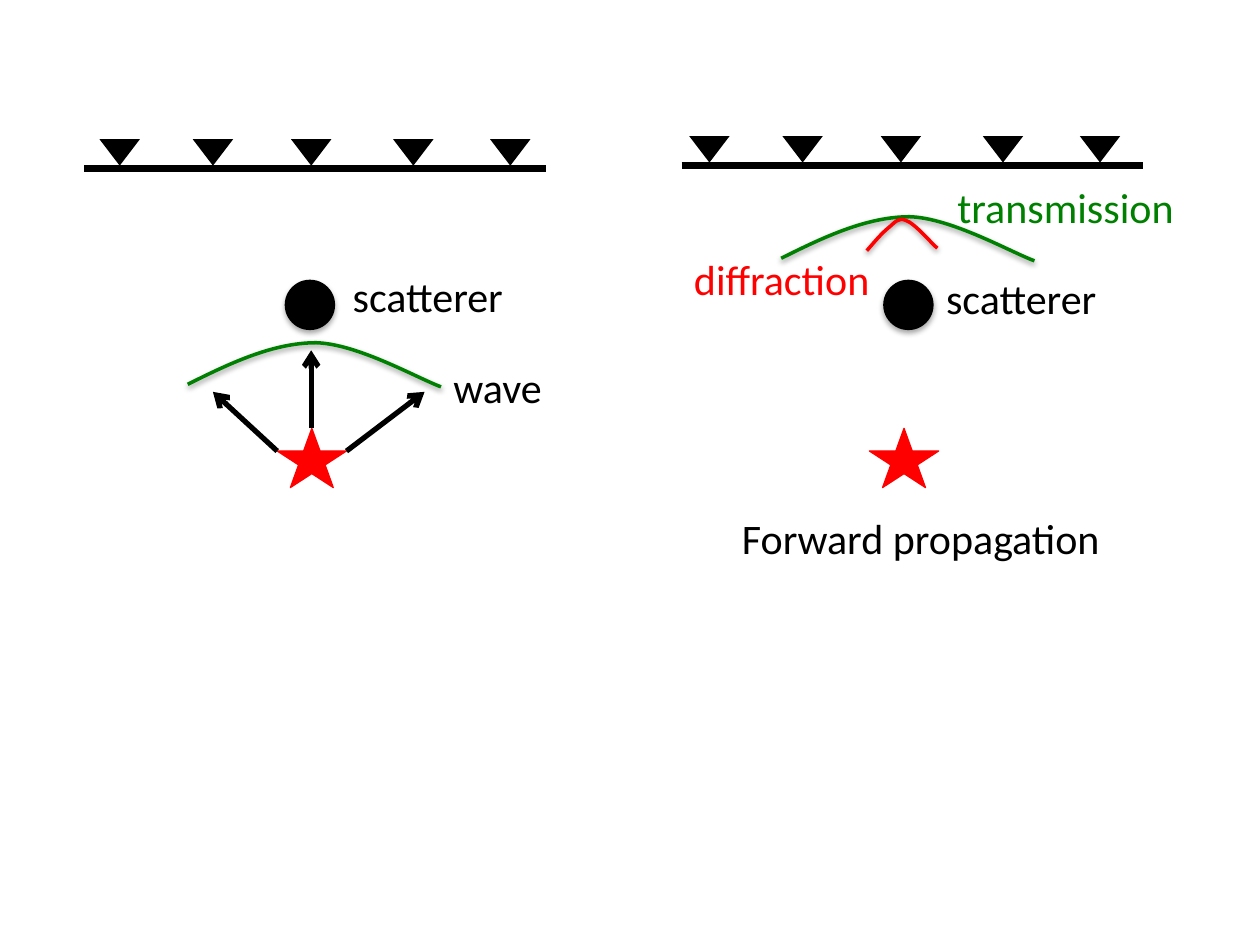
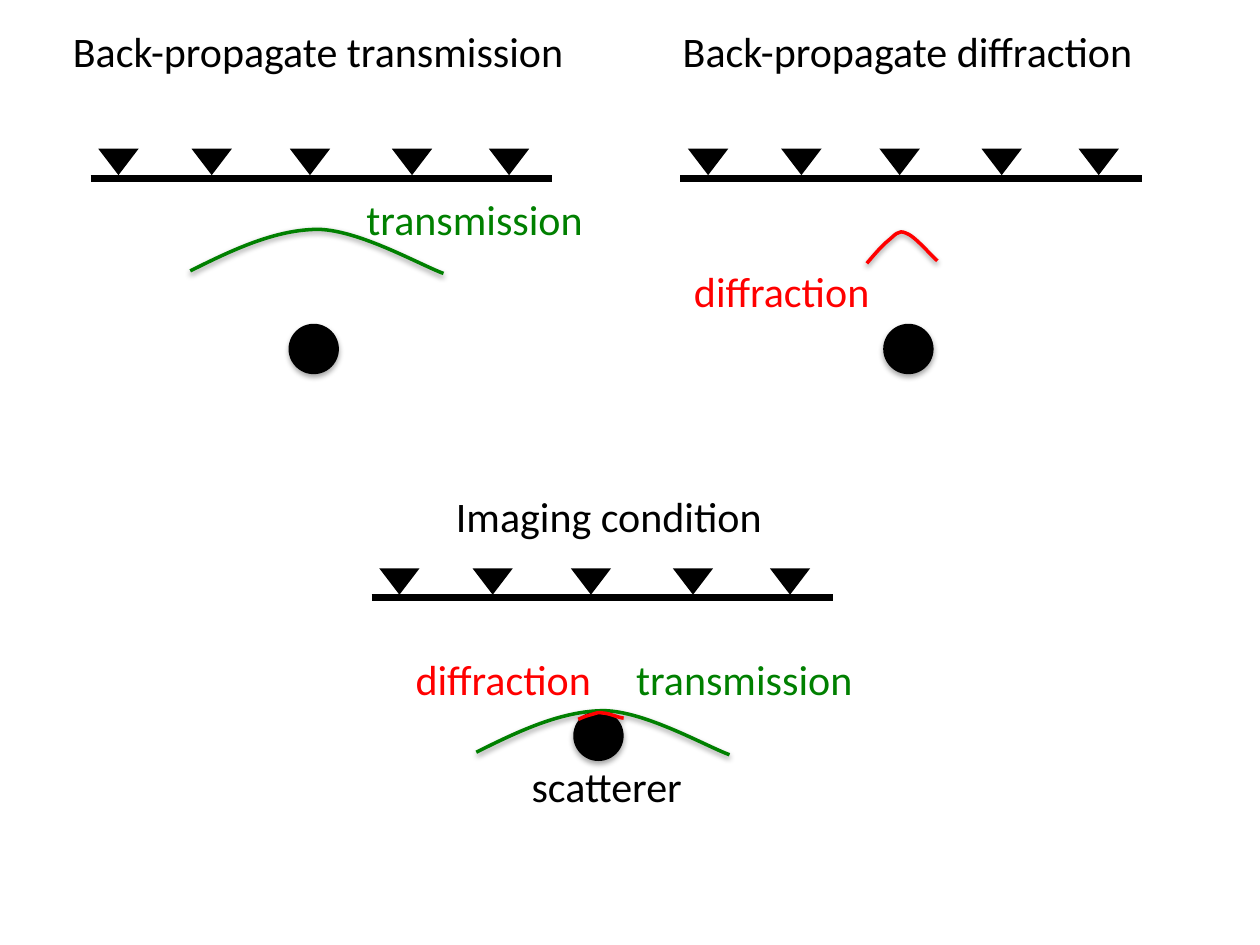
"""Build two slides on forward propagation, back-propagation and imaging of a scatterer."""
from lxml import etree
from pptx import Presentation
from pptx.dml.color import RGBColor
from pptx.enum.shapes import MSO_CONNECTOR, MSO_SHAPE
from pptx.enum.text import MSO_AUTO_SIZE
from pptx.oxml.ns import qn
from pptx.util import Cm, Pt

STRAIGHT = MSO_CONNECTOR.STRAIGHT
TRIANGLE = MSO_SHAPE.ISOSCELES_TRIANGLE
CIRCLE = MSO_SHAPE.OVAL
STAR = MSO_SHAPE.STAR_5_POINT
GROW = MSO_AUTO_SIZE.SHAPE_TO_FIT_TEXT

BLACK = RGBColor(0, 0, 0)
RED = RGBColor(255, 0, 0)
GREEN = RGBColor(0, 128, 0)
FONT = "Calibri"
TEXT_SIZE = 24
TEXT_HEIGHT = 0.5

RECEIVER_OFFSETS = (0, 0.74, 1.52, 2.33, 3.1)
RECEIVER_SIZE = (0.32, 0.21)
SURFACE_LENGTH = 3.66
SURFACE_DROP = 0.235
SCATTERER_SIZE = (0.4, 0.4)
SOURCE_SIZE = (0.55, 0.47)

TRANSMISSION = ((0, 0.33), (0.34, 0.16), (0.68, 0), (1.02, 0),
                (1.35, 0.01), (1.82, 0.28), (2.01, 0.35))
DIFFRACTION = ((0, 0.25), (0.06, 0.18), (0.12, 0.11), (0.17, 0.07),
               (0.22, 0.03), (0.25, -0.02), (0.31, 0.01),
               (0.38, 0.03), (0.52, 0.2), (0.56, 0.23))
FLAT_DIFFRACTION = ((0, 0.05), (0.04, 0.03), (0.07, 0.02), (0.11, 0.01),
                    (0.14, 0), (0.16, -0.01), (0.2, 0),
                    (0.24, 0), (0.33, 0.04), (0.36, 0.04))

SLIDES = [
    {
        "surfaces": [(0.79, 1.105, 0.12), (5.47, 1.08, 0.06)],
        "sources": [(2.2, 3.4), (6.9, 3.4)],
        "scatterers": [(2.26, 2.22), (7.01, 2.22)],
        "waves": [(1.49, 2.72, TRANSMISSION, GREEN),
                  (6.2, 1.72, TRANSMISSION, GREEN),
                  (6.88, 1.74, DIFFRACTION, RED)],
        "arrows": [((2.47, 2.78), (2.47, 3.4)),
                   ((3.37, 3.11), (2.75, 3.58)),
                   ((1.69, 3.11), (2.2, 3.58))],
        "labels": [("Forward propagation", 5.79, 4.02, 3.46, BLACK),
                   ("scatterer", 2.7, 2.1, 1.68, BLACK),
                   ("scatterer", 7.41, 2.11, 1.68, BLACK),
                   ("wave", 3.5, 2.82, 1.68, BLACK),
                   ("transmission", 7.5, 1.39, 2.02, GREEN),
                   ("diffraction", 5.41, 1.96, 1.64, RED)],
    },
    {
        "surfaces": [(0.78, 1.18, 0.06), (5.46, 1.18, 0.06), (3.01, 4.51, 0.06)],
        "sources": [],
        "scatterers": [(2.29, 2.57), (7.01, 2.57), (4.55, 5.64)],
        "waves": [(1.51, 1.82, TRANSMISSION, GREEN),
                  (6.88, 1.84, DIFFRACTION, RED),
                  (3.78, 5.64, TRANSMISSION, GREEN),
                  (4.59, 5.66, FLAT_DIFFRACTION, RED)],
        "arrows": [],
        "labels": [("Back-propagate transmission", 0.48, 0.15, 4.35, BLACK),
                   ("Back-propagate diffraction", 5.32, 0.15, 3.95, BLACK),
                   ("transmission", 2.81, 1.49, 2.02, GREEN),
                   ("diffraction", 5.41, 2.06, 1.64, RED),
                   ("Imaging condition", 3.52, 3.84, 3.52, BLACK),
                   ("diffraction", 3.2, 5.14, 1.64, RED),
                   ("transmission", 4.95, 5.14, 2.02, GREEN),
                   ("scatterer", 4.12, 5.99, 1.68, BLACK)],
    },
]


def lengths(*inches):
    return [Cm(2.54 * value) for value in inches]


def add_text(page, text, left, top, width, color=BLACK, size=TEXT_SIZE):
    box = page.shapes.add_textbox(*lengths(left, top, width, TEXT_HEIGHT))
    frame = box.text_frame
    frame.word_wrap = True
    frame.auto_size = GROW
    span = frame.paragraphs[0].add_run()
    span.text = text
    span.font.name = FONT
    span.font.size = Pt(size)
    span.font.color.rgb = color


def add_shadow(shape, distance, opacity):
    effects = shape.element.spPr.find(qn("a:effectLst"))
    shadow = etree.SubElement(effects, qn("a:outerShdw"), blurRad="40000",
                              dist=str(distance), dir="5400000", rotWithShape="0")
    color = etree.SubElement(shadow, qn("a:srgbClr"), val=str(BLACK))
    etree.SubElement(color, qn("a:alpha"), val=str(opacity * 1000))


def add_solid(page, kind, position, size, color, outline=False):
    shape = page.shapes.add_shape(kind, *lengths(*position, *size))
    shape.shadow.inherit = False
    shape.fill.solid()
    shape.fill.fore_color.rgb = color
    if outline:
        shape.line.color.rgb = color
        shape.line.width = Pt(0.75)
    else:
        shape.line.fill.background()
    return shape


def add_line(page, start, end, weight, arrow=False):
    line = page.shapes.add_connector(STRAIGHT, *lengths(*start, *end))
    line.line.color.rgb = BLACK
    line.line.width = Pt(weight)
    if arrow:
        etree.SubElement(line.get_or_add_ln(), qn("a:headEnd"), type="arrow")
    etree.SubElement(line.element.spPr, qn("a:effectLst"))


def add_wave(page, left, top, outline, color):
    points = [lengths(left + x, top + y) for x, y in outline]
    builder = page.shapes.build_freeform(*points[0])
    builder.add_line_segments(points[1:], close=False)
    wave = builder.convert_to_shape()
    wave.shadow.inherit = False
    wave.fill.background()
    wave.line.color.rgb = color
    wave.line.width = Pt(2)
    add_shadow(wave, 20000, 38)
    outline_element = next(wave.element.iter(qn("a:path")))
    segments = outline_element.findall(qn("a:lnTo"))
    for index in range(0, len(segments), 3):
        curve = etree.SubElement(outline_element, qn("a:cubicBezTo"))
        for segment in segments[index:index + 3]:
            curve.append(segment[0])
            outline_element.remove(segment)


def add_surface(page, left, top, overhang):
    start = left - overhang
    level = top + SURFACE_DROP
    add_line(page, (start, level), (start + SURFACE_LENGTH, level), 4)
    for offset in RECEIVER_OFFSETS:
        receiver = add_solid(page, TRIANGLE, (left + offset, top), RECEIVER_SIZE, BLACK)
        receiver.rotation = 180


def add_page(deck, content):
    page = deck.slides.add_slide(deck.slide_layouts[6])
    for surface in content["surfaces"]:
        add_surface(page, *surface)
    for position in content["sources"]:
        add_solid(page, STAR, position, SOURCE_SIZE, RED, outline=True)
    for position in content["scatterers"]:
        add_shadow(add_solid(page, CIRCLE, position, SCATTERER_SIZE, BLACK), 23000, 35)
    for wave in content["waves"]:
        add_wave(page, *wave)
    for tip, tail in content["arrows"]:
        add_line(page, tip, tail, 3, arrow=True)
    for text, left, top, width, color in content["labels"]:
        add_text(page, text, left, top, width, color=color)


deck = Presentation()
deck.slide_width, deck.slide_height = lengths(10, 7.5)
for content in SLIDES:
    add_page(deck, content)
deck.save("out.pptx")
